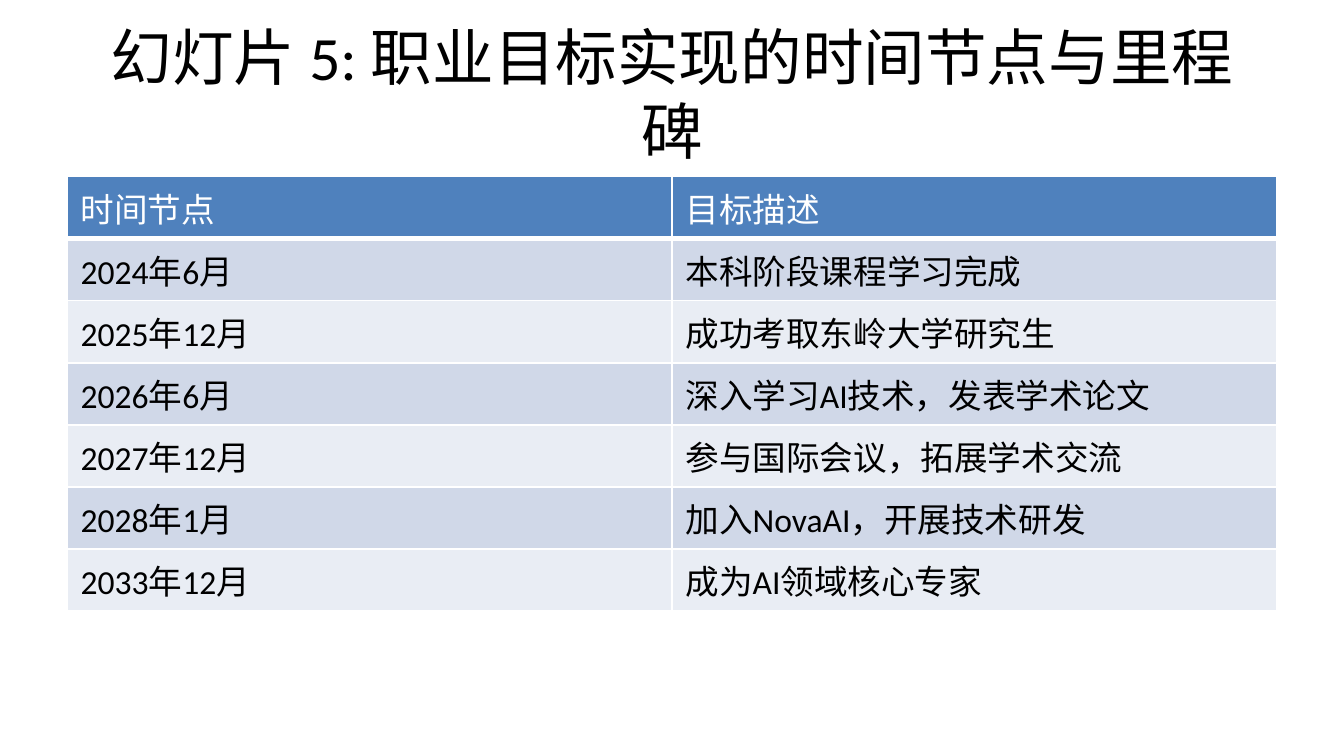
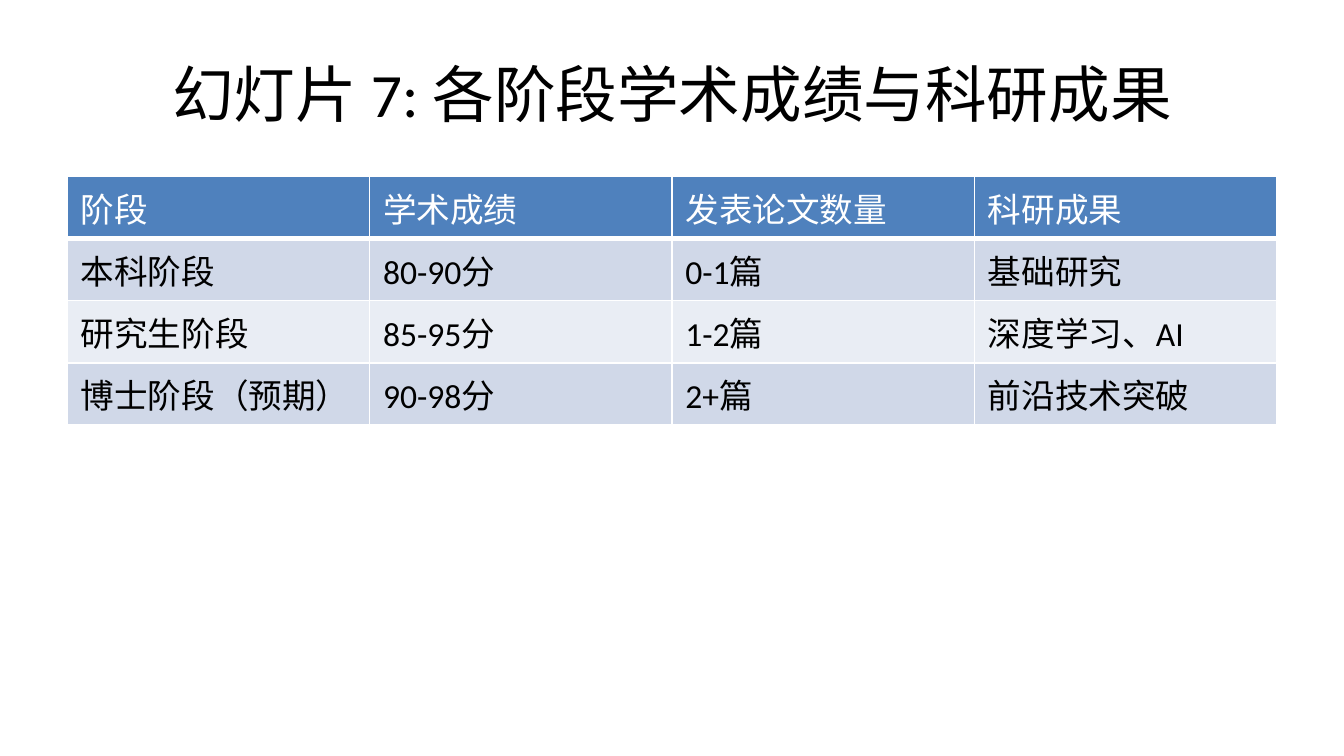
from dataclasses import dataclass

from lxml import etree
from pptx import Presentation
from pptx.dml.color import RGBColor
from pptx.enum.text import MSO_ANCHOR, MSO_AUTO_SIZE, PP_ALIGN
from pptx.oxml.ns import qn
from pptx.util import Pt

LEFT, CENTER = PP_ALIGN.LEFT, PP_ALIGN.CENTER
MIDDLE, TOP = MSO_ANCHOR.MIDDLE, MSO_ANCHOR.TOP
NO_AUTOFIT = MSO_AUTO_SIZE.NONE

WHITE = RGBColor(0xFF, 0xFF, 0xFF)
BLACK = RGBColor(0x00, 0x00, 0x00)
HEADER_BLUE = RGBColor(0x4F, 0x81, 0xBD)
BAND_COLORS = (RGBColor(0xD0, 0xD8, 0xE8), RGBColor(0xE9, 0xED, 0xF4))

FONT = "Calibri"
SLIDE_W, SLIDE_H = 720, 405
MARGIN = 36
CONTENT_W = SLIDE_W - 2 * MARGIN
TITLE_TOP, TITLE_H = 16.25, 67.5
TABLE_TOP, ROW_H = 94.5, 33.2
TITLE_ONLY = 5


@dataclass(frozen=True)
class TableSlide:
    title: str
    rows: tuple[tuple[str, ...], ...]


SLIDES = (
    TableSlide(
        "幻灯片 5: 职业目标实现的时间节点与里程碑",
        (
            ("时间节点", "目标描述"),
            ("2024年6月", "本科阶段课程学习完成"),
            ("2025年12月", "成功考取东岭大学研究生"),
            ("2026年6月", "深入学习AI技术，发表学术论文"),
            ("2027年12月", "参与国际会议，拓展学术交流"),
            ("2028年1月", "加入NovaAI，开展技术研发"),
            ("2033年12月", "成为AI领域核心专家"),
        ),
    ),
    TableSlide(
        "幻灯片 7: 各阶段学术成绩与科研成果",
        (
            ("阶段", "学术成绩", "发表论文数量", "科研成果"),
            ("本科阶段", "80-90分", "0-1篇", "基础研究"),
            ("研究生阶段", "85-95分", "1-2篇", "深度学习、AI"),
            ("博士阶段（预期）", "90-98分", "2+篇", "前沿技术突破"),
        ),
    ),
)


def write_text(tf, text: str, *, size: float, color: RGBColor, align=LEFT) -> None:
    p = tf.paragraphs[0]
    p.alignment = align
    r = p.add_run()
    r.text = text
    r.font.name = FONT
    r.font.size = Pt(size)
    r.font.bold = False
    r.font.color.rgb = color


def set_borders(cell, *, bottom: float = 1) -> None:
    tc_pr = cell._tc.get_or_add_tcPr()
    for side, width in (("L", 1), ("R", 1), ("T", 1), ("B", bottom)):
        line = etree.SubElement(tc_pr, qn(f"a:ln{side}"), w=str(Pt(width)))
        fill = etree.SubElement(line, qn("a:solidFill"))
        etree.SubElement(fill, qn("a:srgbClr"), val=str(WHITE))


def add_title(s, text: str) -> None:
    sp = s.shapes.title
    sp.left, sp.top = Pt(MARGIN), Pt(TITLE_TOP)
    sp.width, sp.height = Pt(CONTENT_W), Pt(TITLE_H)
    tf = sp.text_frame
    tf.word_wrap = True
    tf.auto_size = NO_AUTOFIT
    tf.vertical_anchor = MIDDLE
    write_text(tf, text, size=33, color=BLACK, align=CENTER)


def add_table(s, rows: tuple[tuple[str, ...], ...]) -> None:
    n_rows, n_cols = len(rows), len(rows[0])
    table = s.shapes.add_table(
        n_rows, n_cols, Pt(MARGIN), Pt(TABLE_TOP), Pt(CONTENT_W), Pt(n_rows * ROW_H)
    ).table
    for column in table.columns:
        column.width = Pt(CONTENT_W / n_cols)
    for i, values in enumerate(rows):
        is_header = i == 0
        table.rows[i].height = Pt(ROW_H)
        for j, value in enumerate(values):
            cell = table.cell(i, j)
            set_borders(cell, bottom=3 if is_header else 1)
            cell.fill.solid()
            cell.fill.fore_color.rgb = HEADER_BLUE if is_header else BAND_COLORS[(i - 1) % 2]
            cell.vertical_anchor = TOP
            write_text(cell.text_frame, value, size=18, color=WHITE if is_header else BLACK)


def main() -> None:
    prs = Presentation()
    prs.slide_width, prs.slide_height = Pt(SLIDE_W), Pt(SLIDE_H)
    for content in SLIDES:
        s = prs.slides.add_slide(prs.slide_layouts[TITLE_ONLY])
        add_title(s, content.title)
        add_table(s, content.rows)
    prs.save("out.pptx")


if __name__ == "__main__":
    main()
